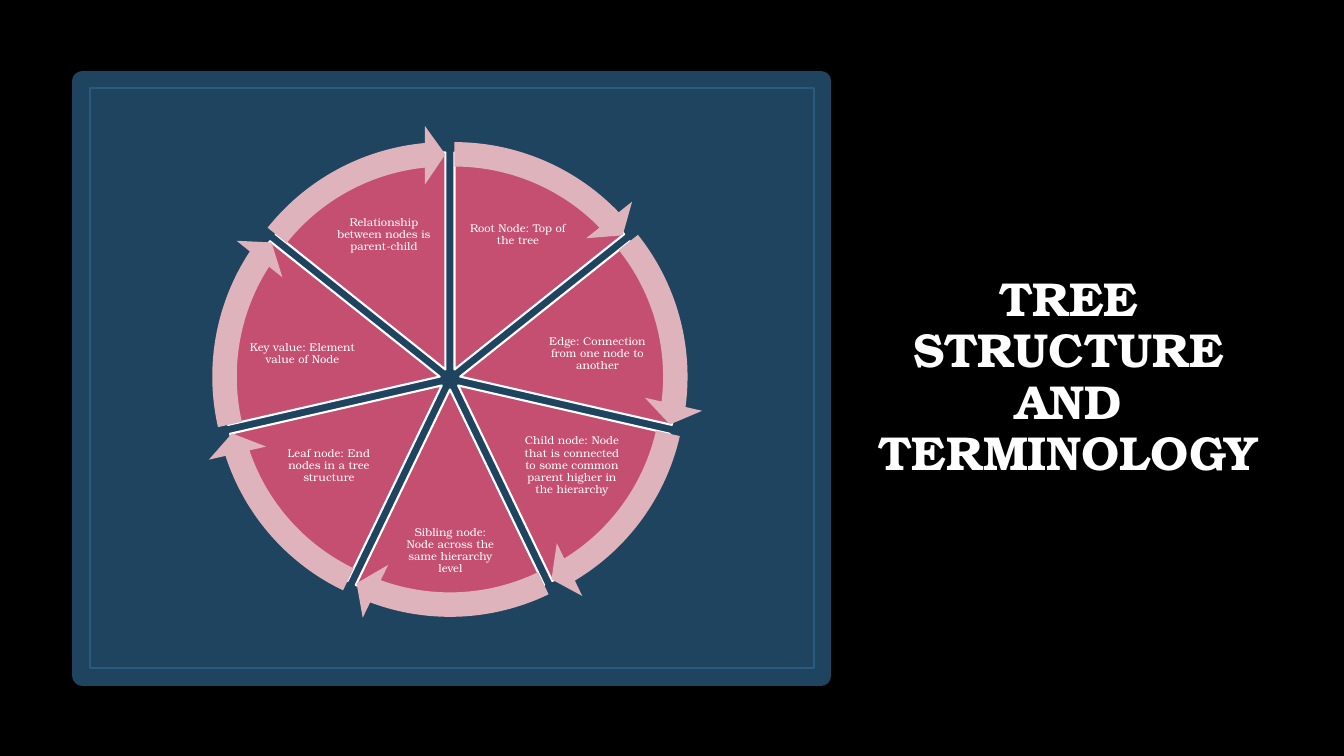
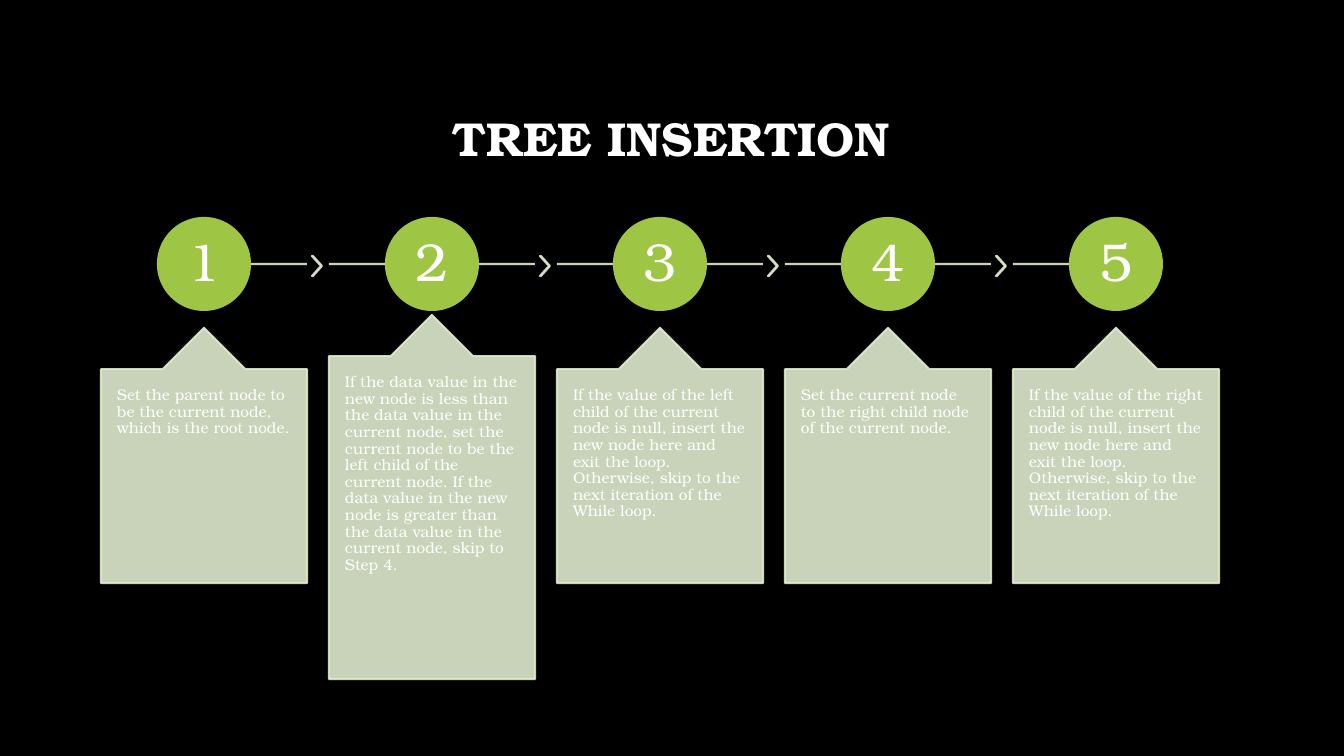
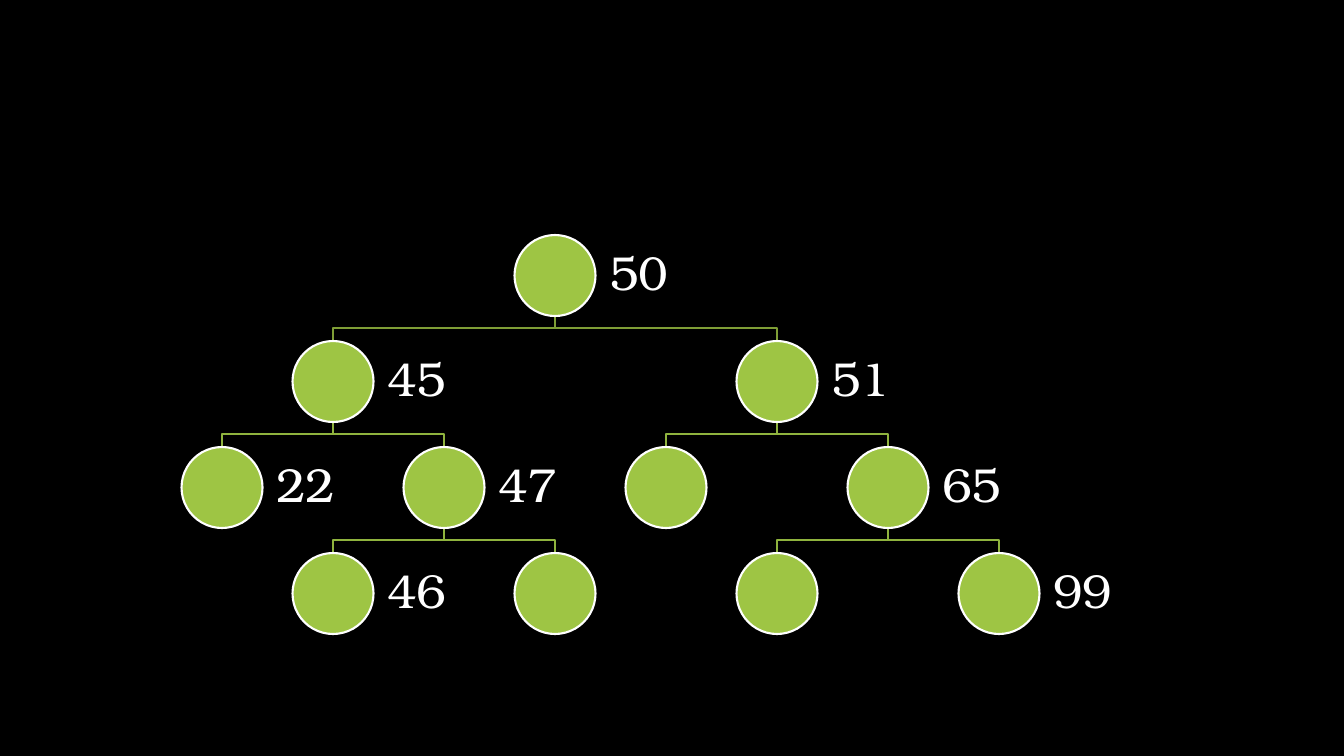
from lxml.etree import SubElement
from math import cos, radians, sin
from pptx import Presentation
from pptx.dml.color import RGBColor
from pptx.enum.shapes import MSO_CONNECTOR, MSO_SHAPE
from pptx.enum.text import MSO_ANCHOR, MSO_AUTO_SIZE, PP_ALIGN
from pptx.oxml.ns import qn
from pptx.util import Pt

PX = 914400 / 100.8
FONT = "TeX Gyre Bonum"
COLORS = {
    "background": "000000",
    "text": "FFFFFF",
    "panel": "1F445F",
    "frame": "2A5B7F",
    "wedge": "C54F71",
    "arrow": "DFB3BB",
    "green": "9EC544",
    "pale": "DFEACF",
    "root_branch": "7F9E36",
    "branch": "8FB33E",
}
ARROW_STEP = 0.6  # one degree in units of an angle adjustment


def paint(shape, fill=None, line=None, weight=1.5, opacity=100, adjust=()):
    """Format fill, outline and adjustments; connectors have only an outline."""
    if hasattr(shape, "fill"):
        shape.shadow.inherit = False
        targets = [(shape.fill, fill), (shape.line.fill, line)]
    else:
        SubElement(shape.element.spPr, qn("a:effectLst"))
        targets = [(shape.line.fill, line)]
    for target, color in targets:
        if color:
            target.solid()
            target.fore_color.rgb = RGBColor.from_string(COLORS[color])
        else:
            target.background()
    if line:
        shape.line.width = Pt(weight)
    if opacity < 100:
        for color in shape.element.spPr.iter(qn("a:srgbClr")):
            SubElement(color, qn("a:alpha"), val=str(opacity * 1000))
    for index, value in enumerate(adjust):
        shape.adjustments[index] = value
    return shape


def write(shape, text, size, align=PP_ALIGN.CENTER, anchor=MSO_ANCHOR.MIDDLE,
          inset=(1, 1), bold=False):
    frame = shape.text_frame
    frame.auto_size = MSO_AUTO_SIZE.NONE
    frame.word_wrap = True
    frame.vertical_anchor = anchor
    frame.margin_left = frame.margin_right = round(inset[0] * PX)
    frame.margin_top = frame.margin_bottom = round(inset[1] * PX)
    para = frame.paragraphs[0]
    para.alignment = align
    para.line_spacing = 0.9
    span = para.add_run()
    span.text = text
    span.font.name = FONT
    span.font.size = Pt(size)
    span.font.bold = bold
    span.font.color.rgb = RGBColor.from_string(COLORS["text"])


deck = Presentation()
deck.slide_width, deck.slide_height = round(1344 * PX), round(756 * PX)
backdrop = deck.slide_master.background.fill
backdrop.solid()
backdrop.fore_color.rgb = RGBColor.from_string(COLORS["background"])

# Pages that carry a title
titles = [
    ("TREE STRUCTURE AND TERMINOLOGY", (868, 70, 401, 616)),
    ("TREE INSERTION", (101, 68, 1141, 146)),
]
for text, place in titles:
    page = deck.slides.add_slide(deck.slide_layouts[5])
    title = page.shapes.title
    title.left, title.top, title.width, title.height = [round(v * PX) for v in place]
    write(title, text, 34, inset=(10, 5), bold=True)

# Terminology: panel with a thin inner frame
shapes = deck.slides[0].shapes
panel = [round(v * PX) for v in (83, 81, 738, 595)]
paint(shapes.add_shape(MSO_SHAPE.RECTANGLE, *panel), "panel", "panel", 15)
inner = [round(v * PX) for v in (90, 88, 724, 580)]
paint(shapes.add_shape(MSO_SHAPE.RECTANGLE, *inner), line="frame", weight=1)

# Terminology: wheel of wedges pushed out from its centre, ringed by arrows
terms = [
    ("Root Node: Top of the tree", (466, 193, 104, 83)),
    ("Edge: Connection from one node to another", (538, 317, 119, 73)),
    ("Child node: Node that is connected to some common parent higher in the hierarchy",
     (520, 425, 104, 81)),
    ("Sibling node: Node across the same hierarchy level", (400, 514, 101, 73)),
    ("Leaf node: End nodes in a tree structure", (277, 425, 104, 81)),
    ("Key value: Element value of Node", (243, 317, 119, 73)),
    ("Relationship between nodes is parent-child", (332, 193, 104, 83)),
]
WHEEL_X, WHEEL_Y, PUSH = 450, 379, 10.5
WEDGE_SIZE, RING_SIZE = 434, 489
sweep = 360 / len(terms)
arrows = []
for index, (term, place) in enumerate(terms):
    start = 270 + index * sweep
    middle = radians(start + sweep / 2)
    center_x, center_y = WHEEL_X + PUSH * cos(middle), WHEEL_Y + PUSH * sin(middle)
    first = start % 360 * ARROW_STEP
    last = (start + sweep) % 360 * ARROW_STEP
    arrows.append((center_x, center_y, first, last))
    box = [round(v * PX) for v in (center_x - WEDGE_SIZE / 2, center_y - WEDGE_SIZE / 2,
                                   WEDGE_SIZE, WEDGE_SIZE)]
    paint(shapes.add_shape(MSO_SHAPE.PIE, *box), "wedge", "text", adjust=(first, last))
    write(shapes.add_textbox(*[round(v * PX) for v in place]), term, 8)
for center_x, center_y, first, last in arrows:
    box = [round(v * PX) for v in (center_x - RING_SIZE / 2, center_y - RING_SIZE / 2,
                                   RING_SIZE, RING_SIZE)]
    paint(shapes.add_shape(MSO_SHAPE.CIRCULAR_ARROW, *box), "arrow",
          adjust=(0.05, 3.28, last - 3.28, first, 0.06))

# Insertion: numbered circles joined by a line, each above a callout
steps = [
    "Set the parent node to be the current node, which is the root node.",
    "If the data value in the new node is less than the data value in the current node, "
    "set the current node to be the left child of the current node. If the data value in "
    "the new node is greater than the data value in the current node, skip to Step 4.",
    "If the value of the left child of the current node is null, insert the new node here "
    "and exit the loop. Otherwise, skip to the next iteration of the While loop.",
    "Set the current node to the right child node of the current node.",
    "If the value of the right child of the current node is null, insert the new node here "
    "and exit the loop. Otherwise, skip to the next iteration of the While loop.",
]
LONG_STEP = 1
STEP_WIDTH, STEP_PITCH, CIRCLE, LINE_Y = 206, 228, 92, 264
shapes = deck.slides[1].shapes
for index, step in enumerate(steps):
    left = 101 + index * STEP_PITCH
    right, center = left + STEP_WIDTH, left + STEP_WIDTH // 2
    is_last = index == len(steps) - 1
    line_start = center if index == 0 else left
    line_end = center if is_last else right
    ends = [round(v * PX) for v in (line_start, LINE_Y, line_end, LINE_Y)]
    paint(shapes.add_connector(MSO_CONNECTOR.STRAIGHT, *ends), line="pale", opacity=90)
    if not is_last:
        box = [round(v * PX) for v in (right + 5, 256, 10, 20)]
        paint(shapes.add_shape(MSO_SHAPE.CHEVRON, *box), "pale", "pale",
              opacity=90, adjust=(0.9,))
    box = [round(v * PX) for v in (center - CIRCLE / 2, LINE_Y - CIRCLE / 2, CIRCLE, CIRCLE)]
    circle = paint(shapes.add_shape(MSO_SHAPE.OVAL, *box), "green", "green")
    write(circle, str(index + 1), 38, inset=(4, 4))
    top, height = (315, 364) if index == LONG_STEP else (328, 255)
    box = [round(v * PX) for v in (left, top, STEP_WIDTH, height)]
    callout = paint(shapes.add_shape(MSO_SHAPE.UP_ARROW_CALLOUT, *box), "pale", "pale",
                    opacity=90, adjust=(0.5, 0.2, 0.2, 1))
    write(callout, step, 11, PP_ALIGN.LEFT, MSO_ANCHOR.TOP, (16, 18))

# Example tree: label, column, level and index of the parent
nodes = [
    ("50", 3, 0, None),
    ("45", 1, 1, 0),
    ("22", 0, 2, 1),
    ("47", 2, 2, 1),
    ("46", 1, 3, 3),
    ("", 3, 3, 3),
    ("51", 5, 1, 0),
    ("", 4, 2, 6),
    ("65", 6, 2, 6),
    ("", 5, 3, 8),
    ("99", 7, 3, 8),
]
NODE = 81
shapes = deck.slides.add_slide(deck.slide_layouts[6]).shapes
centers = [222 + 111 * column for _, column, _, _ in nodes]
tops = [235 + 106 * level for _, _, level, _ in nodes]

# Example tree: branches behind the nodes
for index, (_, _, level, parent) in enumerate(nodes):
    if parent is None:
        continue
    parent_x, parent_bottom = centers[parent], tops[parent] + NODE
    child_x, child_top = centers[index], tops[index]
    bend = (parent_bottom + child_top) / 2
    builder = shapes.build_freeform(parent_x, parent_bottom, scale=PX)
    builder.add_line_segments([(parent_x, bend), (child_x, bend), (child_x, child_top)],
                              close=False)
    paint(builder.convert_to_shape(), line="root_branch" if level == 1 else "branch")

# Example tree: nodes with their labels
for (label, _, _, _), center, top in zip(nodes, centers, tops):
    box = [round(v * PX) for v in (center - NODE / 2, top, NODE, NODE)]
    paint(shapes.add_shape(MSO_SHAPE.OVAL, *box), "green", "text")
    if label:
        box = [round(v * PX) for v in (center + NODE / 2, top, 121, NODE)]
        write(shapes.add_textbox(*box), label, 34, PP_ALIGN.LEFT, inset=(14, 14))

deck.save("out.pptx")
